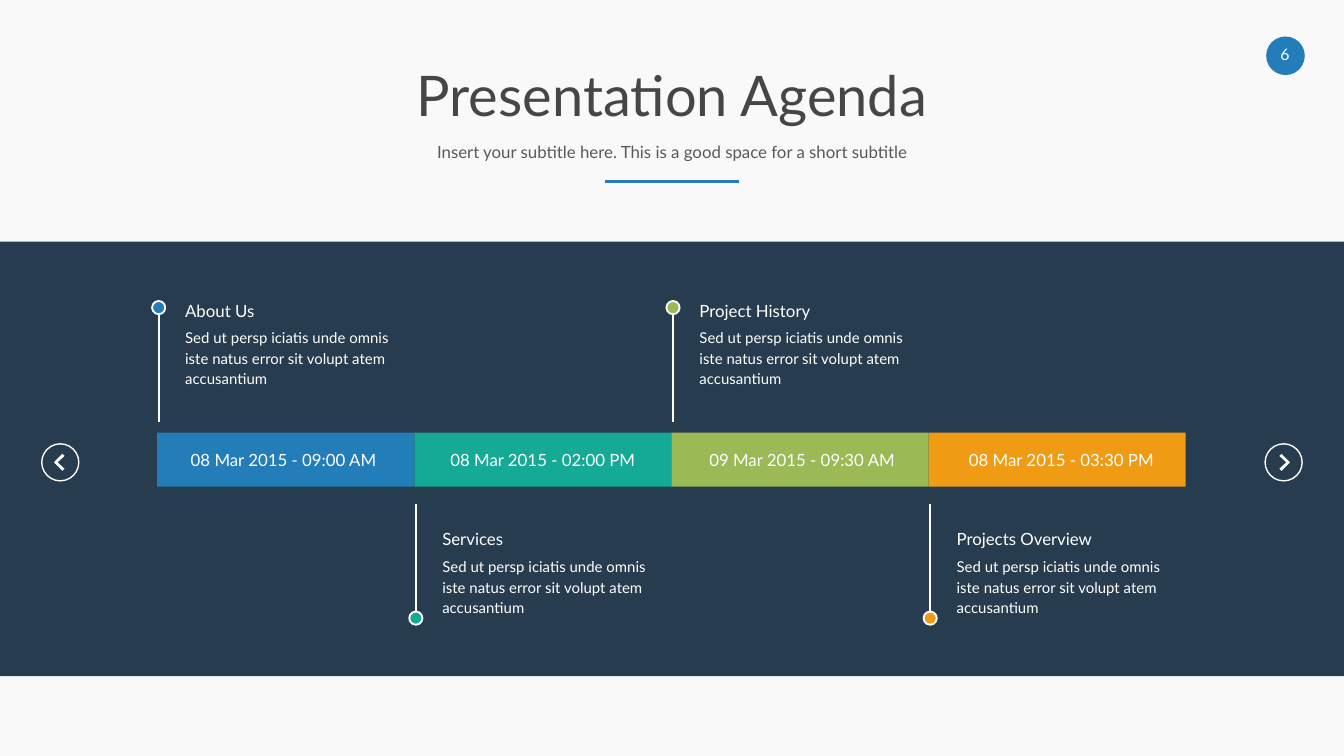
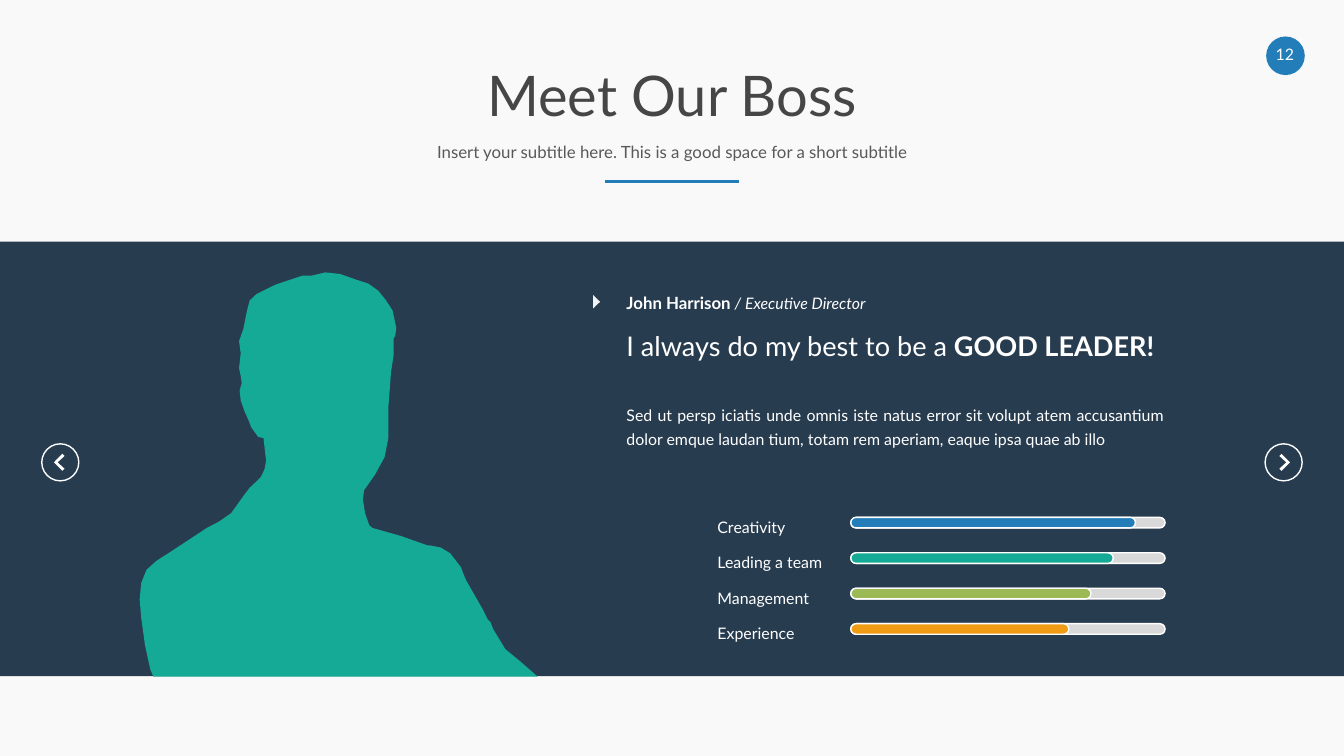
from lxml import etree
from pptx import Presentation
from pptx.dml.color import RGBColor
from pptx.enum.shapes import MSO_CONNECTOR, MSO_SHAPE
from pptx.enum.text import MSO_ANCHOR, PP_ALIGN
from pptx.oxml.ns import qn
from pptx.util import Cm, Pt

RECT, OVAL = MSO_SHAPE.RECTANGLE, MSO_SHAPE.OVAL
PILL, WEDGE = MSO_SHAPE.ROUNDED_RECTANGLE, MSO_SHAPE.ISOSCELES_TRIANGLE
STRAIGHT = MSO_CONNECTOR.STRAIGHT
TOP, MIDDLE = MSO_ANCHOR.TOP, MSO_ANCHOR.MIDDLE
LEFT, CENTER, JUST = PP_ALIGN.LEFT, PP_ALIGN.CENTER, PP_ALIGN.JUSTIFY

PAPER = RGBColor(0xF9, 0xF9, 0xF9)
WHITE = RGBColor(0xFF, 0xFF, 0xFF)
NAVY = RGBColor(0x28, 0x3C, 0x50)
BLUE = RGBColor(0x23, 0x7D, 0xB9)
TEAL = RGBColor(0x14, 0xAA, 0x96)
GREEN = RGBColor(0x9B, 0xB9, 0x55)
ORANGE = RGBColor(0xF0, 0x9B, 0x14)
DARK = RGBColor(0x46, 0x46, 0x46)
GRAY = RGBColor(0x59, 0x59, 0x59)
TRACK = RGBColor(0xD9, 0xD9, 0xD9)
PALE = RGBColor(0xF2, 0xF2, 0xF2)

FONT = "Lato"
WIDTH, HEIGHT = 25.4, 14.29
SUBTITLE = "Insert your subtitle here. This is a good space for a short subtitle"
BLURB = "Sed ut persp iciatis unde omnis iste natus error sit volupt atem accusantium"
STORY = (BLURB + " dolor emque laudan tium, totam rem aperiam, "
         "eaque ipsa quae ab illo")

EVENTS = [
    ("About Us", "08 Mar 2015 - 09:00 AM", BLUE),
    ("Services", "08 Mar 2015 - 02:00 PM", TEAL),
    ("Project History", "09 Mar 2015 - 09:30 AM", GREEN),
    ("Projects Overview", "08 Mar 2015 - 03:30 PM", ORANGE),
]
SKILLS = [("Creativity", BLUE), ("Leading a team", TEAL),
          ("Management", GREEN), ("Experience", ORANGE)]

# Offsets from the middle of the button; the right one is mirrored
CHEVRON = [(0.08, -0.12), (-0.05, 0), (0.08, 0.12),
           (0.04, 0.16), (-0.12, 0), (0.04, -0.16)]

BUST = [
    (4.98, 8.28), (4.88, 8.26), (4.75, 8.08), (4.7, 7.95), (4.62, 7.77),
    (4.55, 7.57), (4.53, 7.38), (4.57, 7.24), (4.55, 7.11), (4.52, 6.96),
    (4.55, 6.68), (4.52, 6.45), (4.6, 6.22), (4.67, 5.87), (4.72, 5.68),
    (4.85, 5.56), (5.21, 5.38), (5.72, 5.21), (5.89, 5.21), (6.15, 5.15),
    (6.43, 5.18), (6.71, 5.28), (6.96, 5.36), (7.14, 5.49), (7.16, 5.51),
    (7.29, 5.67), (7.42, 5.87), (7.49, 6.2), (7.47, 6.35), (7.44, 6.4),
    (7.44, 6.71), (7.39, 7.04), (7.37, 7.32), (7.34, 7.7), (7.34, 8.28),
    (7.27, 8.64), (7.09, 8.97), (6.88, 9.27), (6.86, 9.45), (6.9, 9.7),
    (6.98, 9.93), (7.04, 9.98), (7.57, 10.13), (8.08, 10.31), (8.13, 10.31),
    (8.33, 10.35), (8.51, 10.46), (8.61, 10.59), (8.71, 10.72), (8.76, 10.85),
    (8.81, 10.97), (9.12, 11.51), (9.22, 11.71), (9.27, 11.76), (9.32, 11.89),
    (9.35, 11.94), (9.52, 12.22), (9.55, 12.27), (9.83, 12.5), (10.06, 12.7),
    (10.16, 12.79), (2.9, 12.79), (2.84, 12.65), (2.74, 12.19), (2.67, 11.68),
    (2.64, 11.33), (2.67, 11.02), (2.77, 10.77), (2.96, 10.6), (3.18, 10.46),
    (3.91, 9.98), (4.14, 9.86), (4.37, 9.7), (4.42, 9.63), (4.62, 9.35),
    (4.72, 9.22), (4.88, 9.07), (4.93, 9.02), (5.0, 8.87), (5.03, 8.71),
]


class Deck:
    """Holds the style and the current slide; all lengths are in cm."""

    def __init__(self):
        self.prs = Presentation()
        self.prs.slide_width, self.prs.slide_height = Cm(WIDTH), Cm(HEIGHT)
        self.slide = None

    def paint(self, shape, fill, line=None, weight=0.75):
        shape.shadow.inherit = False
        if fill is None:
            shape.fill.background()
        else:
            shape.fill.solid()
            shape.fill.fore_color.rgb = fill
        if line is None:
            shape.line.fill.background()
        else:
            shape.line.color.rgb = line
            shape.line.width = Pt(weight)
        return shape

    def shape(self, kind, x, y, w, h, fill, line=None, weight=0.75):
        shape = self.slide.shapes.add_shape(kind, Cm(x), Cm(y), Cm(w), Cm(h))
        return self.paint(shape, fill, line, weight)

    def outline(self, points, fill):
        spots = [(Cm(x), Cm(y)) for x, y in points]
        pen = self.slide.shapes.build_freeform(*spots[0])
        pen.add_line_segments(spots[1:], close=True)
        return self.paint(pen.convert_to_shape(), fill)

    def line(self, x1, y1, x2, y2, color, weight):
        line = self.slide.shapes.add_connector(
            STRAIGHT, Cm(x1), Cm(y1), Cm(x2), Cm(y2))
        line.line.color.rgb = color
        line.line.width = Pt(weight)
        etree.SubElement(line.line._get_or_add_ln().getparent(),
                         qn("a:effectLst"))

    def text(self, x, y, w, h, runs, color=WHITE, align=LEFT, anchor=TOP,
             lead=None, after=None):
        """Add one paragraph; each run is (words, size, bold, italic)."""
        box = self.slide.shapes.add_textbox(Cm(x), Cm(y), Cm(w), Cm(h))
        frame = box.text_frame
        frame.word_wrap = True
        frame.vertical_anchor = anchor
        frame.margin_left = frame.margin_right = 0
        frame.margin_top = frame.margin_bottom = 0
        para = frame.paragraphs[0]
        para.alignment = align
        if lead is not None:
            para.line_spacing = lead
        if after is not None:
            para.space_after = Pt(after)
        for words, size, bold, slant in runs:
            run = para.add_run()
            run.text = words
            font = run.font
            font.name, font.size = FONT, Pt(size)
            font.bold, font.italic = bold, slant
            font.color.rgb = color

    def plain(self, x, y, w, h, words, size, **style):
        self.text(x, y, w, h, [(words, size, False, False)], **style)

    def button(self, mid, side):
        """Draw a round arrow button; side is 1 for back, -1 for next."""
        y, size = 8.74, 0.7
        self.outline([(mid + side * dx, y + dy) for dx, dy in CHEVRON], WHITE)
        self.shape(OVAL, mid - size / 2, y - size / 2, size, size, None, WHITE)

    def page(self, title, number):
        """Start a slide with the heading, page number, band and buttons."""
        self.slide = self.prs.slides.add_slide(self.prs.slide_layouts[6])
        back = self.slide.background.fill
        back.solid()
        back.fore_color.rgb = PAPER
        self.line(11.43, 3.43, 13.97, 3.43, BLUE, 1.5)
        self.shape(OVAL, 23.93, 0.69, 0.73, 0.73, BLUE)
        self.plain(23.98, 0.84, 0.61, 0.36, number, 8.5, align=CENTER)
        self.shape(RECT, 0, 4.57, WIDTH, 8.21, NAVY)
        self.button(1.14, 1)
        self.button(WIDTH - 1.14, -1)
        head = dict(align=CENTER, anchor=MIDDLE, lead=0.9)
        self.plain(1.65, 1.22, 22.1, 1.27, title, 30, color=DARK, **head)
        self.plain(1.65, 2.57, 22.1, 0.64, SUBTITLE, 9, color=GRAY, **head)

    def event(self, i, name, date, color):
        """Draw one step; even ones sit above the bar, odd ones below."""
        step, dot = 4.86, 0.25
        shift = i * step
        below = i % 2
        self.shape(RECT, 2.97 + shift, 8.18, step, 1.02, color)
        self.plain(3.35 + 4.9 * i, 8.51, 4.01, 0.41, date, 9, align=CENTER)
        pin = 3 + shift
        dot_y, near, far = (11.56, 11.56, 9.52) if below else (5.69, 5.94, 7.98)
        self.shape(OVAL, pin - dot / 2, dot_y, dot, dot, color, WHITE, 1)
        self.line(pin, near, pin, far, WHITE, 1)
        top = 9.96 if below else 5.64
        self.plain(3.5 + shift, top, 4.11, 0.38, name, 9, lead=Pt(12), after=4)
        self.plain(3.5 + shift, top + 0.53, 4.11, 1.14, BLURB, 8,
                   lead=Pt(11), after=4)

    def skill(self, i, name, color, **style):
        down = 0.67 * i
        self.plain(13.56, 9.68 + down, 2.11, 0.41, name, 8.5, **style)
        for width, fill in ((5.94, TRACK), (5.38 - 0.42 * i, color)):
            bar = self.shape(PILL, 16.08, 9.78 + down, width, 0.2, fill, WHITE)
            bar.adjustments[0] = 0.5


def agenda(deck):
    deck.page("Presentation Agenda", "6")
    for i, event in enumerate(EVENTS):
        deck.event(i, *event)


def boss(deck):
    deck.page("Meet Our Boss", "12")
    deck.outline(BUST, TEAL)
    left = 11.84
    body = dict(align=JUST, lead=Pt(13), after=12)
    deck.text(left, 6.22, 10.06, 0.71, [
        ("I always do my best to be a ", 14.5, False, False),
        ("GOOD LEADER!", 14.5, True, False)])
    deck.plain(left, 7.57, 10.16, 0.91, STORY, 8.5, **body)
    for i, skill in enumerate(SKILLS):
        deck.skill(i, *skill, **body)
    deck.text(left, 5.46, 4.98, 0.46, [
        ("John Harrison ", 9, True, False),
        ("/ Executive Director", 8.5, False, True)], **body)
    deck.shape(WEDGE, 11.15, 5.64, 0.25, 0.13, PALE).rotation = 90


def main():
    deck = Deck()
    agenda(deck)
    boss(deck)
    deck.prs.save("out.pptx")


if __name__ == "__main__":
    main()
